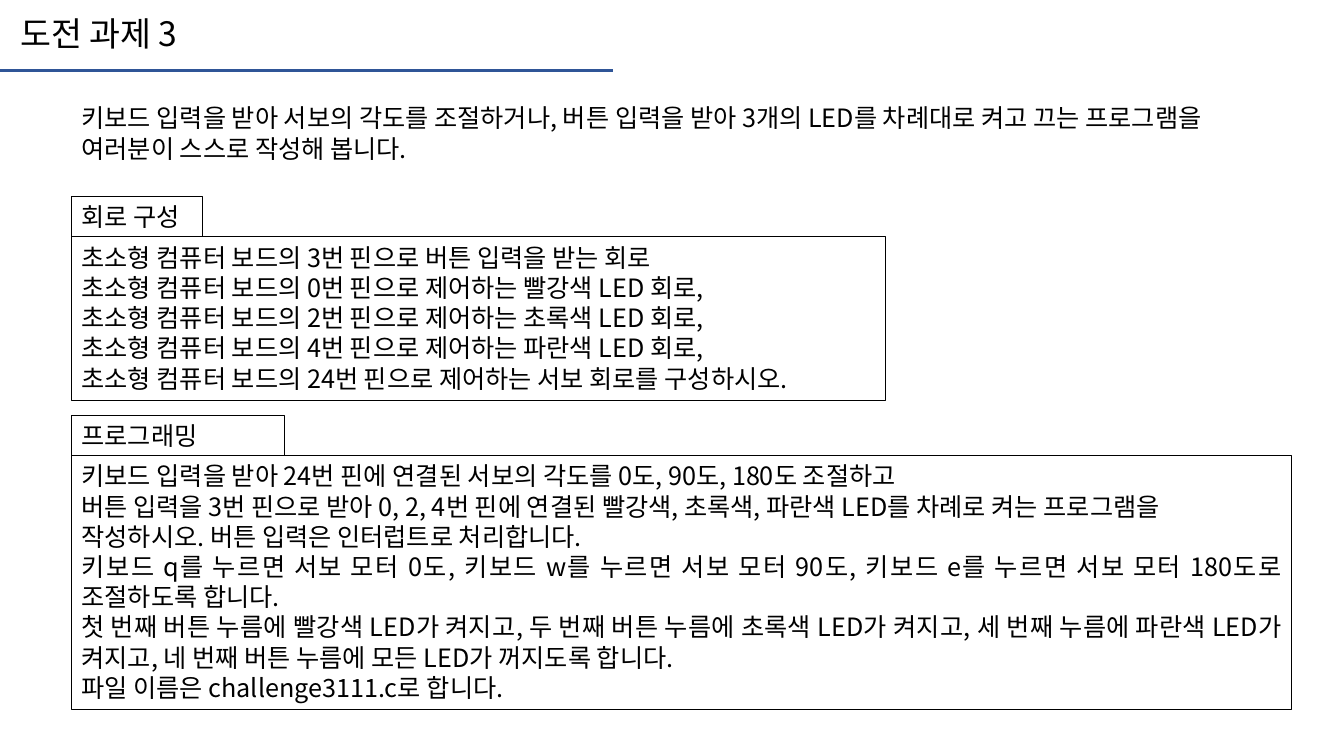
import pptx
import pptx.util
import pptx.dml.color
import pptx.enum.shapes
import pptx.enum.text
import pptx.oxml
import pptx.oxml.ns

Inches = pptx.util.Inches
ALIGN = pptx.enum.text.PP_ALIGN
FONT = "Noto Sans CJK KR"
LEFT = 0.71
LABEL_HEIGHT = 0.4


def rgb(value):
    return pptx.dml.color.RGBColor.from_string(value)


def write_text(sp, text, size=18, color="000000", align=ALIGN.LEFT):
    tf = sp.text_frame
    tf.word_wrap = True
    tf.auto_size = pptx.enum.text.MSO_AUTO_SIZE.SHAPE_TO_FIT_TEXT
    tf.vertical_anchor = pptx.enum.text.MSO_ANCHOR.TOP
    for i, line in enumerate(text.split("\n")):
        p = tf.paragraphs[0] if i == 0 else tf.add_paragraph()
        p.alignment = align
        r = p.add_run()
        r.text = line
        r.font.size = pptx.util.Pt(size)
        r.font.name = FONT
        r.font.color.rgb = rgb(color)
        ea = pptx.oxml.parse_xml(
            f'<a:ea {pptx.oxml.ns.nsdecls("a")} typeface="{FONT}"/>')
        r.font._element.find(pptx.oxml.ns.qn("a:latin")).addnext(ea)


def add_title(slide, text):
    sp = slide.shapes.title
    sp.left, sp.top = Inches(0.1), Inches(0.08)
    sp.width, sp.height = Inches(1.98), Inches(0.5)
    write_text(sp, text, size=24)


def add_rule(slide, y, width, color):
    line = slide.shapes.add_connector(
        pptx.enum.shapes.MSO_CONNECTOR.STRAIGHT,
        Inches(0), Inches(y), Inches(width), Inches(y))
    line.line.color.rgb = rgb(color)
    line.line.width = pptx.util.Pt(2)
    line._element.spPr.append(pptx.oxml.parse_xml(
        f'<a:effectLst {pptx.oxml.ns.nsdecls("a")}/>'))


def add_intro(slide, text):
    sp = slide.shapes.add_textbox(
        Inches(LEFT), Inches(0.97), Inches(11.89), Inches(0.71))
    write_text(sp, text)


def add_box(shapes, y, width, height, text, **fmt):
    sp = shapes.add_shape(
        pptx.enum.shapes.MSO_SHAPE.RECTANGLE,
        Inches(LEFT), Inches(y), Inches(width), Inches(height))
    sp.shadow.inherit = False
    sp.fill.background()
    sp.line.color.rgb = rgb("000000")
    sp.line.width = pptx.util.Pt(0.75)
    write_text(sp, text, **fmt)


def add_section(slide, y, label, label_width, text, width, height, **fmt):
    shapes = slide.shapes.add_group_shape().shapes
    add_box(shapes, y, label_width, LABEL_HEIGHT, label)
    add_box(shapes, y + LABEL_HEIGHT, width, height, text, **fmt)


def main():
    prs = pptx.Presentation()
    prs.slide_width, prs.slide_height = Inches(13.33), Inches(7.5)
    slide = prs.slides.add_slide(prs.slide_layouts.get_by_name("Title Only"))

    add_rule(slide, 0.7, 6.08, "2F5597")
    add_title(slide, "도전 과제 3")
    add_intro(slide, "키보드 입력을 받아 서보의 각도를 조절하거나, 버튼 입력을 받아 3개의 LED를 차례대로 켜고 끄는 프로그램을 여러분이 스스로 작성해 봅니다.")

    pins = [
        "3번 핀으로 버튼 입력을 받는 회로",
        "0번 핀으로 제어하는 빨강색 LED 회로,",
        "2번 핀으로 제어하는 초록색 LED 회로,",
        "4번 핀으로 제어하는 파란색 LED 회로,",
        "24번 핀으로 제어하는 서보 회로를 구성하시오.",
    ]
    circuit = "\n".join(f"초소형 컴퓨터 보드의 {pin}" for pin in pins)
    add_section(slide, 1.95, "회로 구성", 1.3, circuit, 8.07, 1.62)

    program = "\n".join([
        "키보드 입력을 받아 24번 핀에 연결된 서보의 각도를 0도, 90도, 180도 조절하고",
        "버튼 입력을 3번 핀으로 받아 0, 2, 4번 핀에 연결된 빨강색, 초록색, 파란색 LED를 차례로 켜는 프로그램을",
        "작성하시오. 버튼 입력은 인터럽트로 처리합니다.",
        "키보드 q를 누르면 서보 모터 0도, 키보드 w를 누르면 서보 모터 90도, 키보드 e를 누르면 서보 모터 180도로 조절하도록 합니다.",
        "첫 번째 버튼 누름에 빨강색 LED가 켜지고, 두 번째 버튼 누름에 초록색 LED가 켜지고, 세 번째 누름에 파란색 LED가 켜지고, 네 번째 버튼 누름에 모든 LED가 꺼지도록 합니다.",
        "파일 이름은 challenge3111.c로 합니다.",
    ])
    add_section(slide, 4.12, "프로그래밍", 2.11, program, 12.1, 2.52,
                align=ALIGN.JUSTIFY)

    prs.save("out.pptx")


if __name__ == "__main__":
    main()
